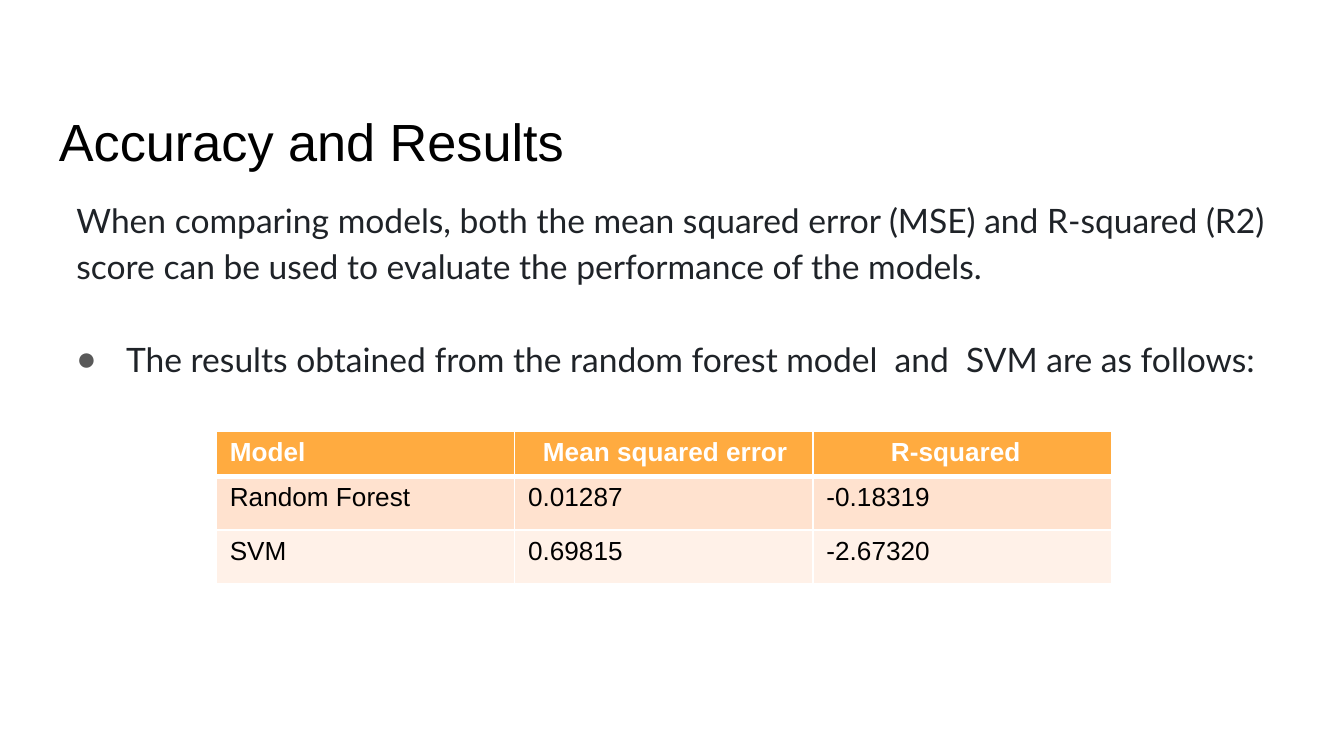
from dataclasses import dataclass

from lxml import etree
from pptx import Presentation
from pptx.dml.color import RGBColor
from pptx.enum.text import MSO_ANCHOR
from pptx.oxml.ns import qn
from pptx.util import Inches, Pt

TOP = MSO_ANCHOR.TOP

PAGE_WIDTH = 10
PAGE_HEIGHT = PAGE_WIDTH * 9 / 16
MARGIN = 0.34
CONTENT_WIDTH = PAGE_WIDTH - 2 * MARGIN
TITLE_TOP, BODY_TOP, BODY_BOTTOM = 0.71, 1.34, 5.08
TABLE_LEFT, TABLE_TOP, COLUMN_WIDTH = 1.61, 3.21, 2.22

BLACK, WHITE = "000000", "FFFFFF"
BODY_COLOR, BULLET_COLOR = "1F2328", "595959"


@dataclass(frozen=True)
class TextStyle:
    font: str
    size: float
    color: str
    bold: bool = False


@dataclass(frozen=True)
class BodyParagraph:
    text: str
    margin: float
    indent: float = 0
    space_before: float = 0
    bullet: str = ""


@dataclass(frozen=True)
class TableRow:
    values: tuple[str, ...]
    height: float
    fill: str
    style: TextStyle
    indents: tuple[float, ...] = (0, 0, 0)
    top_border: float = 1
    bottom_border: float = 1


TITLE_STYLE = TextStyle("Arial", 28, BLACK)
BODY_STYLE = TextStyle("Lato", 18, BODY_COLOR)
HEADER_STYLE = TextStyle("Arial", 14, WHITE, bold=True)
CELL_STYLE = TextStyle("Arial", 14, BLACK)

BODY = (
    BodyParagraph(
        "When comparing models, both the mean squared error (MSE) and R-squared (R2) "
        "score can be used to evaluate the performance of the models.",
        margin=0.13,
    ),
    BodyParagraph(
        "The results obtained from the random forest model  and  SVM are as follows:",
        margin=0.5, indent=-0.37, space_before=24.8, bullet="●",
    ),
)

RESULTS = (
    TableRow(("Model", "Mean squared error", "R-squared"), 0.31, "FFAB40",
             HEADER_STYLE, (0, 0.11, 0.48), bottom_border=3),
    TableRow(("Random Forest", "0.01287", "-0.18319"), 0.4, "FFE2CF",
             CELL_STYLE, top_border=3),
    TableRow(("SVM", "0.69815", "-2.67320"), 0.4, "FFF1E8", CELL_STYLE),
)


def rgb(color: str) -> RGBColor:
    return RGBColor.from_string(color)


def add_span(para, text: str, style: TextStyle) -> None:
    span = para.add_run()
    span.text = text
    span.font.name = style.font
    span.font.size = Pt(style.size)
    span.font.bold = style.bold
    span.font.color.rgb = rgb(style.color)


def set_indent(para, margin: float, indent: float = 0) -> None:
    properties = para._p.get_or_add_pPr()
    properties.set("marL", str(Inches(margin)))
    properties.set("indent", str(Inches(indent)))


def add_text_frame(page, top: float, bottom: float):
    """Add a text box across the content width and return its frame."""
    box = page.shapes.add_textbox(
        Inches(MARGIN), Inches(top), Inches(CONTENT_WIDTH), Inches(bottom - top))
    frame = box.text_frame
    frame.word_wrap = True
    frame.vertical_anchor = TOP
    frame.margin_left = frame.margin_right = Inches(0.1)
    frame.margin_top = frame.margin_bottom = Inches(0.1)
    return frame


def add_solid_color(parent, color: str) -> None:
    etree.SubElement(parent, qn("a:srgbClr"), val=color)


def set_bullet(para, character: str) -> None:
    properties = para._p.get_or_add_pPr()
    add_solid_color(etree.SubElement(properties, qn("a:buClr")), BULLET_COLOR)
    etree.SubElement(properties, qn("a:buFont"), typeface="Arial")
    etree.SubElement(properties, qn("a:buChar"), char=character)


def add_body(page) -> None:
    frame = add_text_frame(page, BODY_TOP, BODY_BOTTOM)
    for index, item in enumerate(BODY):
        para = frame.add_paragraph() if index else frame.paragraphs[0]
        para.line_spacing = 1.15
        para.space_before = Pt(item.space_before)
        set_indent(para, item.margin, item.indent)
        if item.bullet:
            set_bullet(para, item.bullet)
        add_span(para, item.text, BODY_STYLE)


def set_borders(cell, top: float, bottom: float) -> None:
    properties = cell._tc.get_or_add_tcPr()
    for side, width in (("L", 1), ("R", 1), ("T", top), ("B", bottom)):
        line = etree.SubElement(properties, qn(f"a:ln{side}"), w=str(Pt(width)))
        add_solid_color(etree.SubElement(line, qn("a:solidFill")), WHITE)


def add_results_table(page) -> None:
    columns = len(RESULTS[0].values)
    table = page.shapes.add_table(
        len(RESULTS), columns, Inches(TABLE_LEFT), Inches(TABLE_TOP),
        Inches(columns * COLUMN_WIDTH), Inches(sum(row.height for row in RESULTS))).table
    table.first_row = table.horz_banding = False
    for column in table.columns:
        column.width = Inches(COLUMN_WIDTH)
    for row_index, row in enumerate(RESULTS):
        table.rows[row_index].height = Inches(row.height)
        for column_index, (value, indent) in enumerate(zip(row.values, row.indents)):
            cell = table.cell(row_index, column_index)
            set_borders(cell, row.top_border, row.bottom_border)
            cell.fill.solid()
            cell.fill.fore_color.rgb = rgb(row.fill)
            para = cell.text_frame.paragraphs[0]
            set_indent(para, indent)
            add_span(para, value, row.style)


def main() -> None:
    deck = Presentation()
    deck.slide_width, deck.slide_height = Inches(PAGE_WIDTH), Inches(PAGE_HEIGHT)
    page = deck.slides.add_slide(deck.slide_layouts[6])
    page.background.fill.solid()
    page.background.fill.fore_color.rgb = rgb(WHITE)
    title = add_text_frame(page, TITLE_TOP, BODY_TOP)
    add_span(title.paragraphs[0], "Accuracy and Results", TITLE_STYLE)
    add_body(page)
    add_results_table(page)
    deck.save("out.pptx")


if __name__ == "__main__":
    main()
